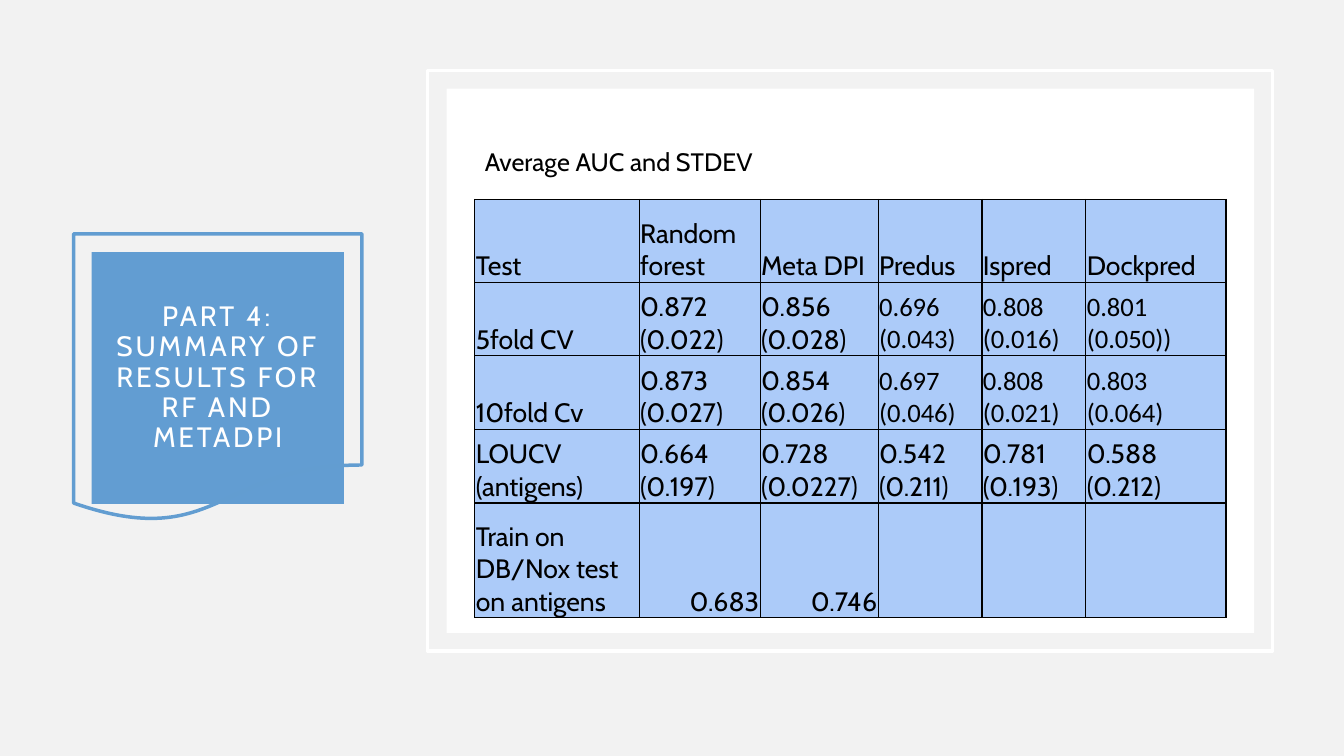
from lxml import etree
from pptx import Presentation
from pptx.dml.color import RGBColor
from pptx.enum.shapes import MSO_SHAPE as SHAPE
from pptx.enum.text import MSO_ANCHOR as ANCHOR, MSO_AUTO_SIZE as AUTO, PP_ALIGN as ALIGN
from pptx.oxml import parse_xml
from pptx.oxml.ns import nsdecls
from pptx.util import Inches, Pt

BACKGROUND = RGBColor(0xF2, 0xF2, 0xF2)
BLUE = RGBColor(0x62, 0x9D, 0xD2)
OUTLINE = RGBColor(0x62, 0x9D, 0xD1)
CELL = RGBColor(0xAC, 0xCB, 0xF9)
WHITE = RGBColor(0xFF, 0xFF, 0xFF)
BLACK = RGBColor(0, 0, 0)
COLUMNS = [1.63, 1.2, 1.17, 1.03, 1.03, 1.39]
ROWS = [0.82, 0.73, 0.73, 0.73, 1.14]
RESULTS = [
    ["Test", "Random forest", "Meta DPI", "Predus", "Ispred", "Dockpred"],
    ["5fold CV", "0.872 (0.022)", "0.856 (0.028)",
     "0.696\n(0.043)", "0.808\n(0.016)", "0.801\n(0.050))"],
    ["10fold Cv", "0.873 (0.027)", "0.854 (0.026)",
     "0.697\n(0.046)", "0.808\n(0.021)", "0.803\n(0.064)"],
    ["LOUCV (antigens)", "0.664 (0.197)", "0.728 (0.0227)",
     "0.542 (0.211)", "0.781 (0.193)", "0.588 (0.212)"],
    ["Train on DB/Nox test on antigens", "0.683", "0.746", "", "", ""],
]


def write(tf, text, size=18, font="Cabin", color=BLACK, align=ALIGN.LEFT,
          line=None, after=None, tracking=None):
    for i, part in enumerate(text.split("\n")):
        p = tf.add_paragraph() if i else tf.paragraphs[0]
        p.alignment, p.line_spacing, p.space_after = align, line, after
        r = p.add_run()
        r.text = part
        r.font.size, r.font.name = Pt(size), font
        r.font.color.rgb = color
        if tracking:
            r.font._element.set("spc", str(tracking * 100))


def set_insets(target, left, top, right, bottom):
    target.margin_left, target.margin_top = Inches(left), Inches(top)
    target.margin_right, target.margin_bottom = Inches(right), Inches(bottom)


class Deck:
    def __init__(self):
        self.prs = Presentation()
        self.prs.slide_width, self.prs.slide_height = Inches(13.33), Inches(7.5)
        self.s = self.prs.slides.add_slide(self.prs.slide_layouts[5])
        fill = self.s.background.fill
        fill.solid()
        fill.fore_color.rgb = BACKGROUND

    def title(self, text, left, top, width, height):
        sp = self.s.shapes.title
        sp.left, sp.top = Inches(left), Inches(top)
        sp.width, sp.height = Inches(width), Inches(height)
        sp.fill.solid()
        sp.fill.fore_color.rgb = BLUE
        tf = sp.text_frame
        tf.word_wrap, tf.auto_size = True, AUTO.NONE
        tf.vertical_anchor = ANCHOR.MIDDLE
        set_insets(tf, 0.2, 0.2, 0.2, 0.2)
        write(tf, text, size=20, color=WHITE, align=ALIGN.CENTER, line=0.9, tracking=2)

    def shape(self, kind, left, top, width, height, fill=None, line=None):
        sp = self.s.shapes.add_shape(kind, Inches(left), Inches(top),
                                     Inches(width), Inches(height))
        sp.shadow.inherit = False
        for part, color in ((sp.fill, fill), (sp.line.fill, line)):
            if color is None:
                part.background()
            else:
                part.solid()
                part.fore_color.rgb = color
        if line is not None:
            sp.line.width = Pt(2.5)

    def text(self, text, left, top, width, height):
        tf = self.s.shapes.add_textbox(Inches(left), Inches(top),
                                       Inches(width), Inches(height)).text_frame
        tf.word_wrap, tf.auto_size = True, AUTO.SHAPE_TO_FIT_TEXT
        write(tf, text, after=Pt(6))

    def border(self, cell):
        tc_pr = cell._tc.get_or_add_tcPr()
        for i, side in enumerate("LRTB"):
            ln = parse_xml(f'<a:ln{side} {nsdecls("a")} w="{Pt(1)}"/>')
            fill = etree.SubElement(ln, ln.tag.replace(f"ln{side}", "solidFill"))
            etree.SubElement(fill, ln.tag.replace(f"ln{side}", "srgbClr"), val=str(BLACK))
            tc_pr.insert(i, ln)

    def table(self, rows, left, top, widths, heights):
        table = self.s.shapes.add_table(
            len(rows), len(widths), Inches(left), Inches(top),
            Inches(sum(widths)), Inches(sum(heights))).table
        table.first_row = table.horz_banding = False
        for column, width in zip(table.columns, widths):
            column.width = Inches(width)
        for row, height in zip(table.rows, heights):
            row.height = Inches(height)
        for i, row in enumerate(rows):
            for j, value in enumerate(row):
                cell = table.cell(i, j)
                cell.fill.solid()
                cell.fill.fore_color.rgb = CELL
                cell.vertical_anchor = ANCHOR.BOTTOM
                set_insets(cell, 0.01, 0.01, 0.01, 0)
                self.border(cell)
                if value:
                    last = i == len(rows) - 1
                    write(cell.text_frame, value, size=19,
                          font="Calibri" if i in (1, 2) and j > 2 else "Cabin",
                          align=ALIGN.RIGHT if last and j else ALIGN.LEFT)


deck = Deck()
deck.title("PART 4: SUMMARY OF RESULTS FOR RF AND METADPI", 0.91, 2.5, 2.5, 2.5)
deck.shape(SHAPE.FLOWCHART_DOCUMENT, 0.73, 2.32, 2.86, 2.86, line=OUTLINE)
deck.shape(SHAPE.RECTANGLE, 4.24, 0.7, 8.38, 5.76, line=WHITE)
deck.shape(SHAPE.RECTANGLE, 4.43, 0.88, 8.01, 5.4, fill=WHITE)
deck.text("Average AUC and STDEV", 4.71, 1.4, 3.27, 0.4)
deck.table(RESULTS, 4.71, 1.98, COLUMNS, ROWS)
deck.prs.save("out.pptx")
